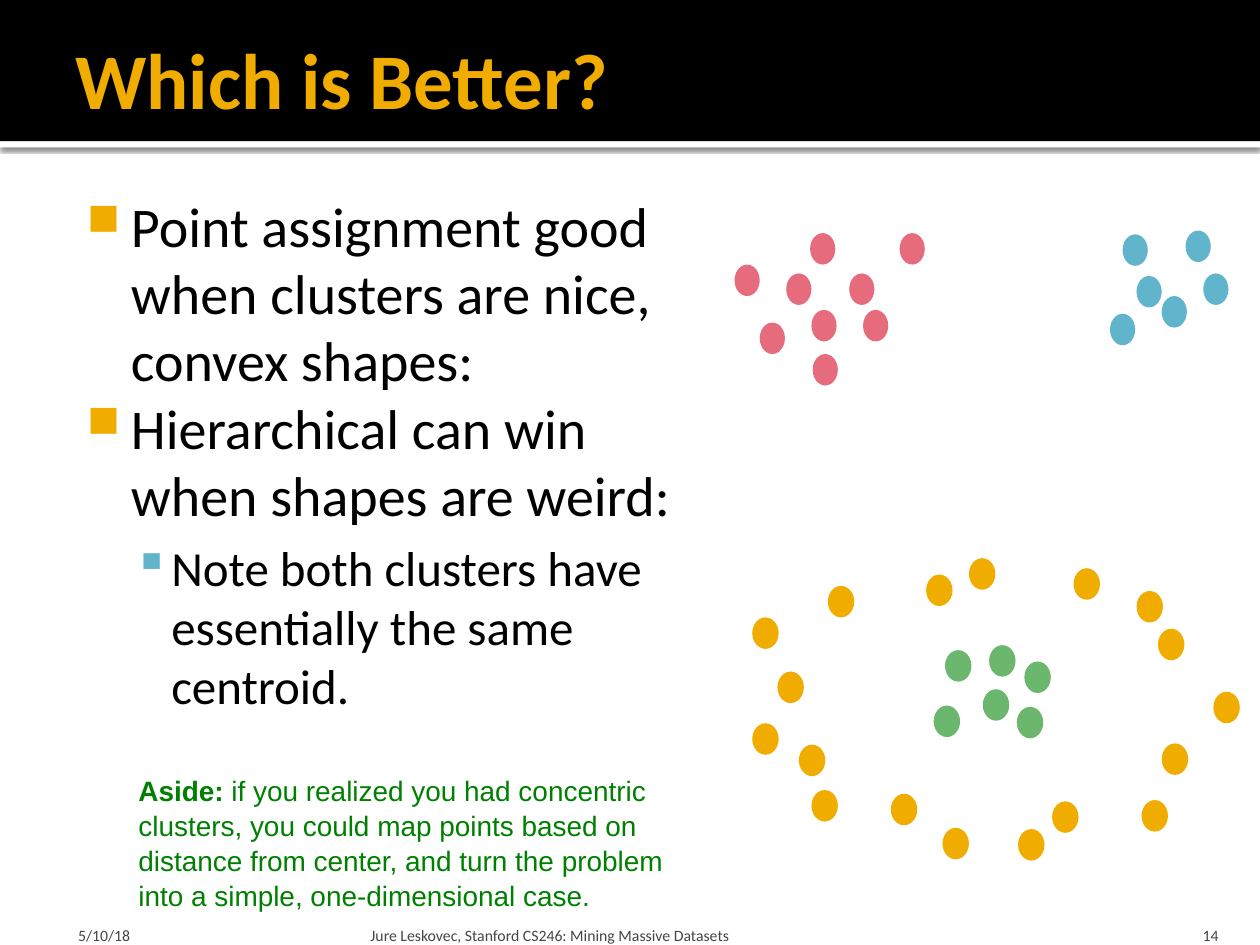
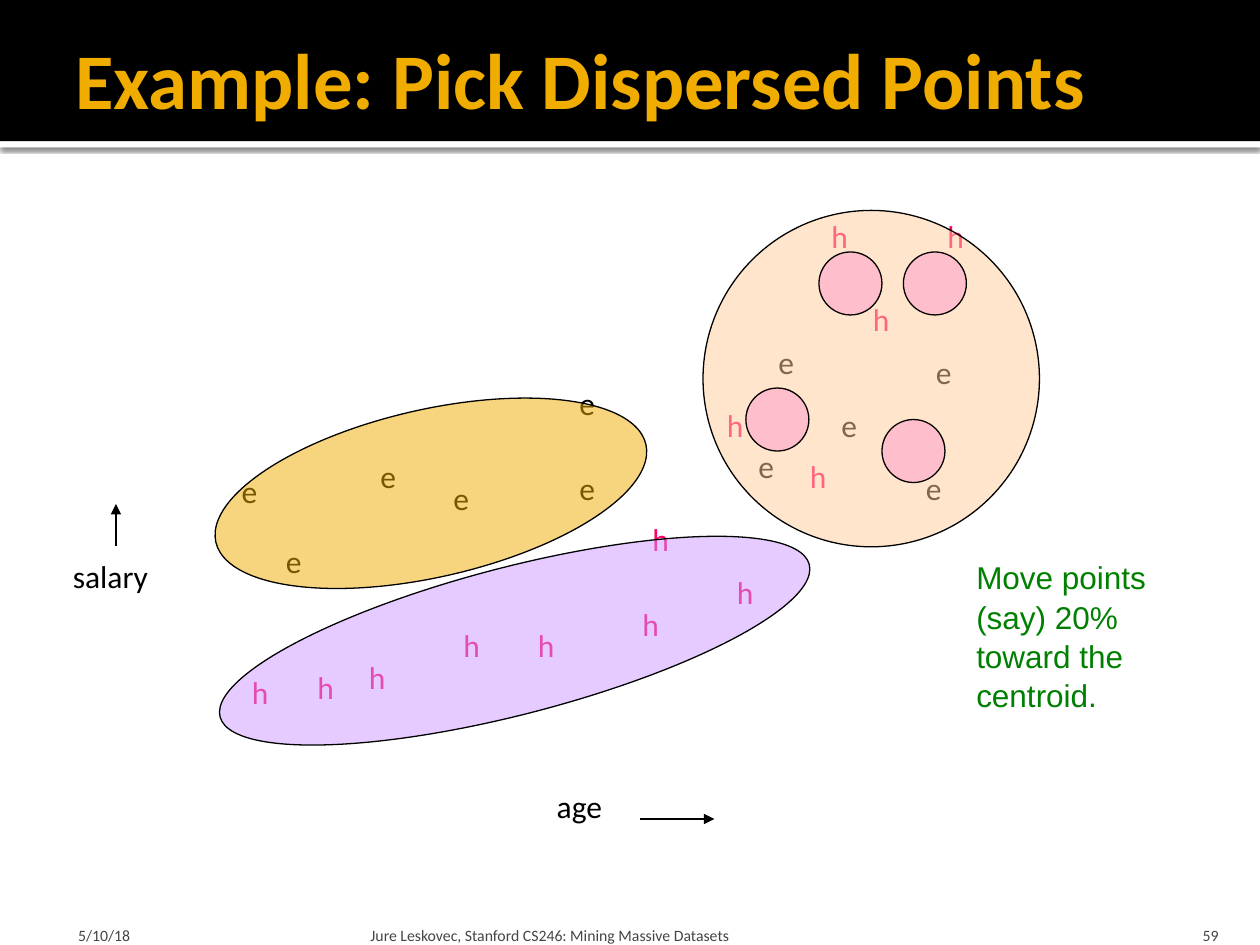
from lxml import etree
from pptx import Presentation
from pptx.dml.color import RGBColor
from pptx.enum.shapes import MSO_CONNECTOR, MSO_SHAPE
from pptx.enum.text import MSO_ANCHOR, MSO_AUTO_SIZE, PP_ALIGN
from pptx.oxml.ns import qn
from pptx.util import Inches, Pt

RECT, OVAL = MSO_SHAPE.RECTANGLE, MSO_SHAPE.OVAL
LINE = MSO_CONNECTOR.STRAIGHT
TOP, MIDDLE, BOTTOM = MSO_ANCHOR.TOP, MSO_ANCHOR.MIDDLE, MSO_ANCHOR.BOTTOM
LEFT, RIGHT = PP_ALIGN.LEFT, PP_ALIGN.RIGHT
GROW, FIXED = MSO_AUTO_SIZE.SHAPE_TO_FIT_TEXT, MSO_AUTO_SIZE.NONE

COLORS = {
    "black": "000000", "white": "FFFFFF", "gold": "F0AD00", "blue": "60B5CC",
    "rose": "E66C7D", "leaf": "6BB76D", "green": "008000", "grey": "454545",
    "red": "FF0066", "peach": "FFCC99", "lilac": "CC99FF", "pink": "FF99CC",
}
INSET = (0.1, 0.05, 0.1, 0.05)


def paint(color, name):
    """Set a colour format to a named colour."""
    color.rgb = RGBColor.from_string(COLORS[name])


def node(parent, tag, **attrs):
    """Append a drawing element with attributes."""
    child = etree.SubElement(parent, qn("a:" + tag))
    for key, value in attrs.items():
        child.set(key, str(value))
    return child


class Deck:
    """Holds the style and the current slide."""

    def __init__(self):
        """Open an empty 10 by 7.5 inch deck."""
        self.prs = Presentation()
        self.prs.slide_width, self.prs.slide_height = Inches(10), Inches(7.5)
        self.shapes = None

    def page(self, title, number):
        """Start a slide with its band, title and footer."""
        slide = self.prs.slides.add_slide(self.prs.slide_layouts[6])
        self.shapes = slide.shapes
        strip = self.shape(RECT, (0, 1.12, 10, 0.05), "white")
        glow = node(strip._element.spPr.find(qn("a:effectLst")), "outerShdw",
                    blurRad=Pt(2.5), dist=Pt(0.8), dir=90 * 60000, rotWithShape=0)
        node(node(glow, "srgbClr", val=COLORS["black"]), "alpha", val=60000)
        self.shape(RECT, (0, 0, 10, 1.12), "black")
        self.text([title], (0.5, 0.08, 9, 1.08), size=45, color="gold", bold=True,
                  anchor=MIDDLE, inset=(0.1, 0.05, 0.05, 0.05))
        notes = [
            ("5/10/18", 0.5, 2.33, 0.12, 0.05, LEFT),
            ("Jure Leskovec, Stanford CS246: Mining Massive Datasets",
             2.89, 6.02, 0.05, 0.05, LEFT),
            (number, 8.97, 0.8, 0.1, 0.1, RIGHT),
        ]
        for words, left, width, before, after, align in notes:
            self.text([words], (left, 7.2, width, 0.3), size=9, color="grey",
                      anchor=BOTTOM, align=align, inset=(before, 0.05, after, 0))

    def text(self, lines, box, size=18, color="black", font="Calibri", bold=False,
             lead="", align=LEFT, anchor=TOP, inset=INSET, grow=False, space=None):
        """Write one paragraph a line; lead is a bold start of the first."""
        shape = self.shapes.add_textbox(*map(Inches, box))
        frame = shape.text_frame
        frame.word_wrap = not grow
        frame.auto_size = GROW if grow else FIXED
        frame.vertical_anchor = anchor
        (frame.margin_left, frame.margin_top,
         frame.margin_right, frame.margin_bottom) = map(Inches, inset)
        for i, line in enumerate(lines):
            para = frame.add_paragraph() if i else frame.paragraphs[0]
            para.alignment = align
            para.line_spacing = space
            parts = [(line, bold)]
            if lead and i == 0:
                parts.insert(0, (lead, True))
            for words, heavy in parts:
                run = para.add_run()
                run.text = words
                run.font.name, run.font.size, run.font.bold = font, Pt(size), heavy
                paint(run.font.color, color)
        return shape

    def bullet(self, para, mark, color, left, hang, scale=100):
        """Give a paragraph a bullet and a hanging indent."""
        props = para._p.get_or_add_pPr()
        props.set("marL", str(Inches(left)))
        props.set("indent", str(-Inches(hang)))
        node(node(props, "buClr"), "srgbClr", val=COLORS[color])
        node(props, "buSzPct", val=scale * 1000)
        node(props, "buChar", char=mark)

    def shape(self, kind, box, fill, edge=None, alpha=100, turn=0, group=None):
        """Draw a filled preset shape."""
        home = group.shapes if group else self.shapes
        shape = home.add_shape(kind, *map(Inches, box))
        shape.shadow.inherit = False
        shape.rotation = turn
        shape.fill.solid()
        paint(shape.fill.fore_color, fill)
        if alpha < 100:
            tint = shape._element.spPr.find(qn("a:solidFill"))[0]
            node(tint, "alpha", val=alpha * 1000)
        if edge:
            paint(shape.line.color, edge)
            shape.line.width = Pt(0.75)
        else:
            shape.line.fill.background()
        return shape

    def dots(self, width, sets):
        """Draw a group of data points, by colour."""
        group = self.shapes.add_group_shape()
        for color, spots in sets.items():
            for left, top in spots:
                self.shape(OVAL, (left, top, width, 0.25), color, group=group)

    def marks(self, letter, color, spots):
        """Write the same letter at each spot."""
        for left, top in spots:
            self.text([letter], (left, top, 0.38, 0.5), color=color, grow=True)

    def arrow(self, *ends):
        """Draw a thin line with a head at its end."""
        line = self.shapes.add_connector(LINE, *map(Inches, ends))
        paint(line.line.color, "black")
        line.line.width = Pt(0.75)
        node(line.line._get_or_add_ln(), "tailEnd", type="triangle")
        node(line._element.spPr, "effectLst")


def better(deck):
    """Build the slide on convex and odd clusters."""
    deck.page("Which is Better?", "14")
    body = deck.text([
        "Point assignment good when clusters are nice, convex shapes:",
        "Hierarchical can win when shapes are weird:",
        "Note both clusters have essentially the same centroid.",
    ], (0.5, 1.42, 5.14, 5.75), size=32, inset=(0.06, 0.1, 0.1, 0.05))
    first, second, sub = body.text_frame.paragraphs
    for para in (first, second):
        deck.bullet(para, "■", "gold", 0.48, 0.35, scale=80)
    sub.runs[0].font.size = Pt(28)
    sub.space_before = Pt(5.6)
    deck.bullet(sub, "▪", "blue", 0.8, 0.3)

    deck.dots(0.2, {
        "rose": [(5.83, 2.1), (6.43, 1.85), (6.24, 2.17), (6.74, 2.17), (6.03, 2.56),
                 (6.44, 2.46), (6.85, 2.46), (6.45, 2.81), (7.14, 1.85)],
        "blue": [(9.02, 2.19), (9.22, 2.35), (9.55, 2.17), (8.91, 1.86),
                 (8.81, 2.49), (9.41, 1.83)],
    })
    deck.dots(0.21, {
        "gold": [(5.97, 4.9), (6.57, 4.65), (8.52, 4.51), (7.48, 6.57), (6.17, 5.33),
                 (9.06, 6.35), (9.22, 5.9), (6.44, 6.27), (7.69, 4.43), (8.35, 6.36),
                 (9.63, 5.49), (7.07, 6.3), (9.19, 4.99), (8.08, 6.58), (9.02, 4.69),
                 (6.34, 5.91), (5.97, 5.74), (7.35, 4.56)],
        "leaf": [(7.85, 5.12), (7.8, 5.47), (8.13, 5.25), (7.5, 5.16),
                 (7.41, 5.6), (8.07, 5.61)],
    })
    deck.text([
        " if you realized you had concentric",
        "clusters, you could map points based on",
        "distance from center, and turn the problem",
        "into a simple, one-dimensional case.",
    ], (1, 6.08, 4.42, 1.21), size=16, font="Arial", color="green", lead="Aside:",
        grow=True, space=1.04)


def spread(deck):
    """Build the slide on moving the chosen points."""
    deck.page("Example: Pick Dispersed Points", "59")
    deck.marks("e", "black", [
        (1.82, 3.7), (3.5, 3.75), (4.5, 3), (5.92, 3.5), (6.08, 2.67), (7.33, 2.75),
        (2.17, 4.25), (2.92, 3.58), (4.5, 3.67), (6.58, 3.17), (7.25, 3.67)])
    deck.marks("h", "red", [
        (1.9, 5.29), (5.67, 3.17), (5.75, 4.5), (6.33, 3.58), (6.83, 2.33),
        (7.42, 1.67), (3.58, 4.92), (4.17, 4.92), (5.08, 4.08), (5, 4.75),
        (6.5, 1.67), (2.42, 5.25), (2.83, 5.17)])
    deck.text(["salary"], (0.48, 4.37, 1.06, 0.5), grow=True)
    deck.text(["age"], (4.32, 6.2, 0.74, 0.5), grow=True)
    deck.arrow(5.08, 6.5, 5.67, 6.5)
    deck.arrow(0.92, 4.33, 0.92, 4)

    rings = [
        ((1.67, 3.25, 3.5, 1.33), "gold", 347.2),
        ((5.58, 1.67, 2.67, 2.67), "peach", 0),
        ((1.67, 4.5, 4.83, 1.17), "lilac", 345.5),
    ]
    moved = [(6.5, 2), (7.17, 2), (5.92, 3.08), (7, 3.33)]
    rings += [((left, top, 0.5, 0.5), "pink", 0) for left, top in moved]
    for box, fill, turn in rings:
        deck.shape(OVAL, box, fill, edge="black", alpha=50, turn=turn)
    deck.text(["Move points", "(say) 20%", "toward the", "centroid."],
              (7.65, 4.37, 1.56, 1.31), font="Arial", color="green", grow=True,
              space=1.04)


deck = Deck()
better(deck)
spread(deck)
deck.prs.save("out.pptx")
